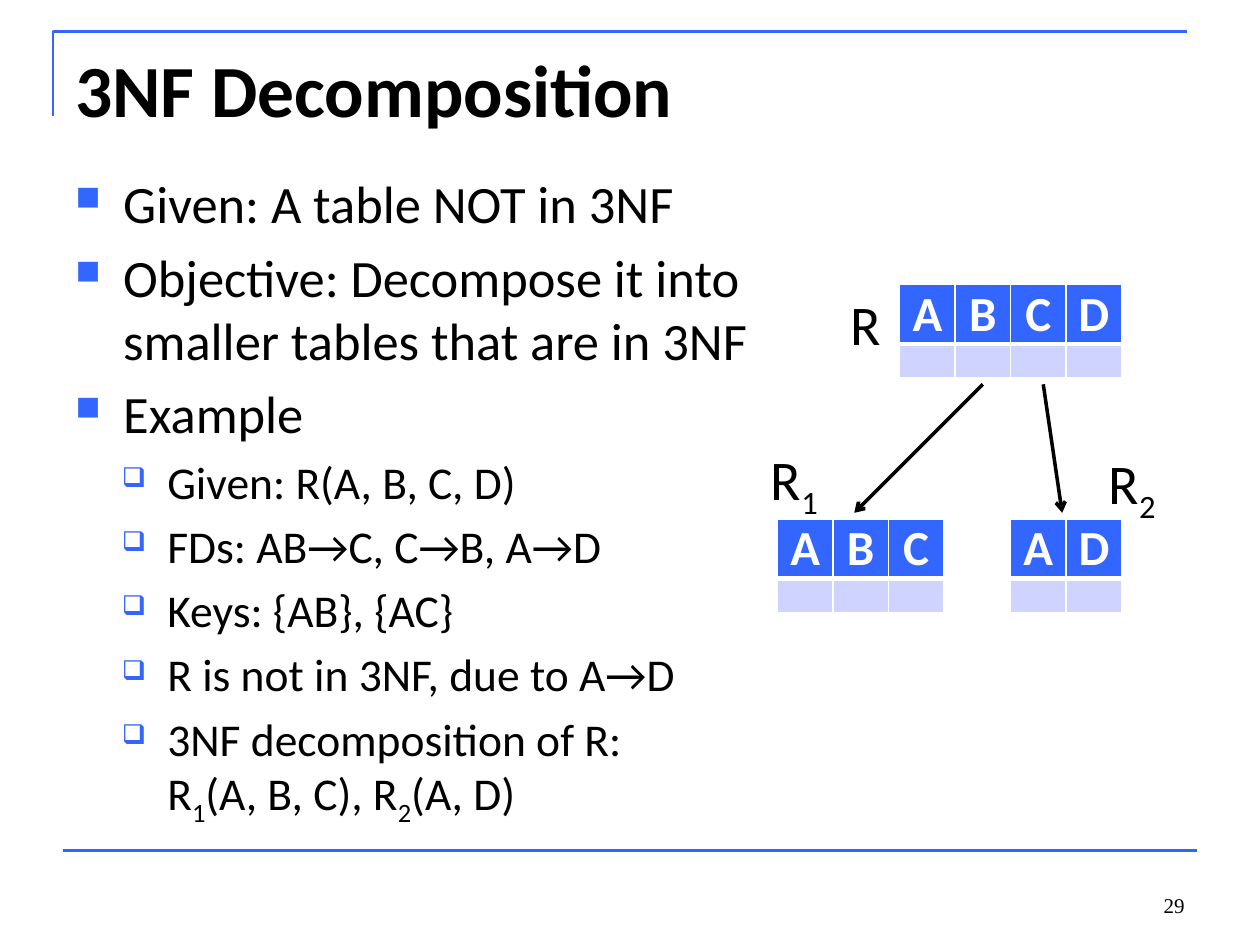
from lxml.etree import SubElement
from pptx import Presentation
from pptx.dml.color import RGBColor
from pptx.enum.shapes import MSO_CONNECTOR
from pptx.enum.text import MSO_ANCHOR, PP_ALIGN
from pptx.oxml.ns import qn
from pptx.util import Inches, Pt

COLORS = {"accent": "3366FF", "pale": "CED3FF", "text": "000000", "white": "FFFFFF"}
COLUMN_WIDTH = 0.44
HEADER_HEIGHT = 0.47
ROW_HEIGHT = 0.27
LEVELS = [
    {"size": 30, "left": 0.38, "hang": 0.38, "mark": "■", "scale": 65, "before": 6},
    {"size": 26, "left": 0.73, "hang": 0.36, "mark": "❑", "scale": 60, "before": 5.5},
]
BODY = [
    (0, "Given: A table NOT in 3NF"),
    (0, "Objective: Decompose it into smaller tables that are in 3NF"),
    (0, "Example"),
    (1, "Given: R(A, B, C, D)"),
    (1, "FDs: AB→C, C→B, A→D"),
    (1, "Keys: {AB}, {AC}"),
    (1, "R is not in 3NF, due to A→D"),
    (1, "3NF decomposition of R: \vR_1_(A, B, C), R_2_(A, D)"),
]
TABLES = [("ABCD", 7.14, 2.26), ("AD", 8.02, 4.12), ("ABC", 6.17, 4.12)]
LABELS = [("R", 6.65, 2.25, 0.45), ("R_1", 6.02, 3.48, 0.6), ("R_2", 8.7, 3.51, 0.6)]
ARROWS = [((7.8, 3.05), (6.78, 4.07)), ((8.28, 3.05), (8.43, 4.07))]


def color(name):
    return RGBColor.from_string(COLORS[name])


def style_runs(para, size, name="text", bold=False, font="Calibri"):
    for span in para.runs:
        span.font.name = font
        span.font.size = Pt(size)
        span.font.bold = bold
        span.font.color.rgb = color(name)


def write_with_subscripts(para, text, size):
    first, *rest = text.split("_")
    para.text = first
    for index, part in enumerate(rest):
        span = para.add_run()
        span.text = part
        if index % 2 == 0:
            span.font._element.set("baseline", "-25000")
    style_runs(para, size)


def add_box(page, left, top, width, height, wrap=True):
    box = page.shapes.add_textbox(Inches(left), Inches(top), Inches(width), Inches(height))
    box.text_frame.word_wrap = wrap
    return box.text_frame


def set_bullet(para, level):
    properties = para._p.get_or_add_pPr()
    properties.set("marL", str(Inches(level["left"])))
    properties.set("indent", str(-Inches(level["hang"])))
    tint = SubElement(properties, qn("a:buClr"))
    SubElement(tint, qn("a:srgbClr"), val=COLORS["accent"])
    SubElement(properties, qn("a:buSzPct"), val=str(level["scale"] * 1000))
    SubElement(properties, qn("a:buChar"), char=level["mark"])


def add_body(page):
    frame = add_box(page, 0.5, 1.31, 6, 5.4)
    for index, (depth, text) in enumerate(BODY):
        para = frame.add_paragraph() if index else frame.paragraphs[0]
        level = LEVELS[depth]
        para.level = depth
        set_bullet(para, level)
        para.space_before = Pt(level["before"] if index else 0)
        write_with_subscripts(para, text, level["size"])


def set_borders(cell, top, bottom):
    properties = cell._tc.get_or_add_tcPr()
    for index, (side, width) in enumerate(zip("LRTB", (1, 1, top, bottom))):
        border = properties.makeelement(qn(f"a:ln{side}"), {"w": str(Pt(width))})
        fill = SubElement(border, qn("a:solidFill"))
        SubElement(fill, qn("a:srgbClr"), val=COLORS["white"])
        properties.insert(index, border)


def style_cell(cell, fill, top, bottom):
    cell.fill.solid()
    cell.fill.fore_color.rgb = color(fill)
    cell.margin_top = cell.margin_bottom = 0
    set_borders(cell, top, bottom)


def add_relation(page, attributes, left, top):
    count = len(attributes)
    table = page.shapes.add_table(
        2, count, Inches(left), Inches(top),
        Inches(COLUMN_WIDTH * count), Inches(HEADER_HEIGHT + ROW_HEIGHT),
    ).table
    table.rows[0].height = Inches(HEADER_HEIGHT)
    table.rows[1].height = Inches(ROW_HEIGHT)
    for index, attribute in enumerate(attributes):
        table.columns[index].width = Inches(COLUMN_WIDTH)
        header, empty = table.cell(0, index), table.cell(1, index)
        style_cell(header, "accent", 1, 3)
        style_cell(empty, "pale", 3, 1)
        para = header.text_frame.paragraphs[0]
        para.text = attribute
        para.alignment = PP_ALIGN.CENTER
        style_runs(para, 28, "white", bold=True)
        SubElement(empty.text_frame.paragraphs[0]._p, qn("a:endParaRPr"), sz="1200")


def add_line(page, start, end, name, width, arrow=False):
    line = page.shapes.add_connector(
        MSO_CONNECTOR.STRAIGHT, *(Inches(value) for value in (*start, *end))
    )
    line.line.color.rgb = color(name)
    line.line.width = Pt(width)
    if arrow:
        SubElement(line.line._get_or_add_ln(), qn("a:tailEnd"), type="arrow")
    SubElement(line._element.spPr, qn("a:effectLst"))


def add_corner(page):
    builder = page.shapes.build_freeform(Inches(0.42), Inches(0.92))
    builder.add_line_segments(
        [(Inches(0.42), Inches(0.25)), (Inches(9.42), Inches(0.25))], close=False
    )
    corner = builder.convert_to_shape()
    corner.shadow.inherit = False
    corner.fill.background()
    corner.line.color.rgb = color("accent")
    corner.line.width = Pt(1.5)


def add_title(page):
    para = add_box(page, 0.5, 0.3, 9, 1.25).paragraphs[0]
    para.text = "3NF Decomposition"
    style_runs(para, 42, bold=True)


def add_page_number(page):
    frame = add_box(page, 7.17, 6.83, 2.33, 0.5)
    frame.vertical_anchor = MSO_ANCHOR.BOTTOM
    para = frame.paragraphs[0]
    para.text = "29"
    para.alignment = PP_ALIGN.RIGHT
    style_runs(para, 12, font="Times New Roman")


def main():
    deck = Presentation()
    deck.slide_width, deck.slide_height = Inches(10), Inches(7.5)
    page = deck.slides.add_slide(deck.slide_layouts[6])
    add_corner(page)
    add_line(page, (0.5, 6.75), (9.5, 6.75), "accent", 1.5)
    add_title(page)
    add_body(page)
    for attributes, left, top in TABLES:
        add_relation(page, attributes, left, top)
    for start, end in ARROWS:
        add_line(page, start, end, "text", 2, arrow=True)
    for text, left, top, width in LABELS:
        frame = add_box(page, left, top, width, 0.64, wrap=False)
        write_with_subscripts(frame.paragraphs[0], text, 32)
    add_page_number(page)
    deck.save("out.pptx")


if __name__ == "__main__":
    main()
